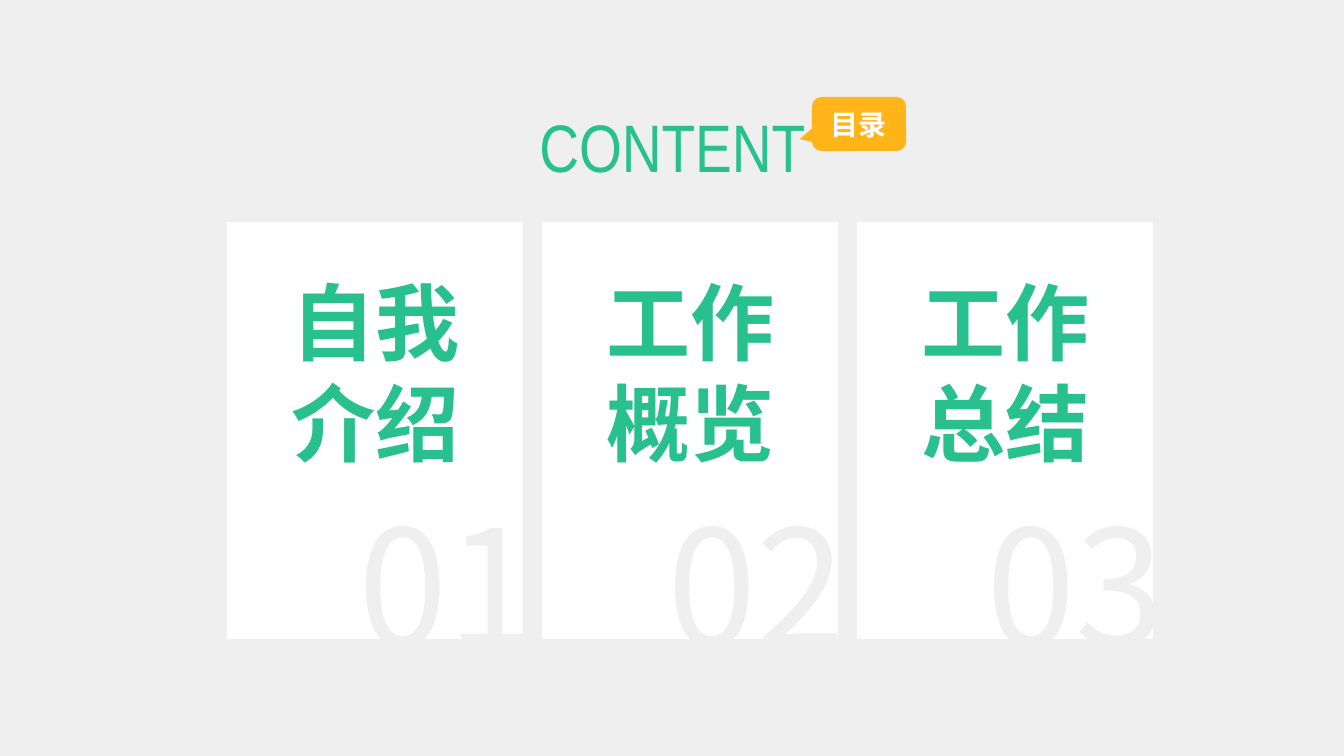
from dataclasses import dataclass
from lxml.etree import SubElement
from pptx import Presentation
from pptx.dml.color import RGBColor
from pptx.enum.shapes import MSO_SHAPE as Shape
from pptx.enum.text import MSO_ANCHOR as Anchor, PP_ALIGN as Align
from pptx.oxml.ns import qn
from pptx.util import Pt

TITLE = "CONTENT"
TAG = "目录"
# heading, number, left shift of the number box within its card
CARDS = [
    ("自我\n介绍", "01", 48),
    ("工作\n概览", "02", 42),
    ("工作\n总结", "03", 46),
]


@dataclass(frozen=True)
class Theme:
    back: str = "EFEFEF"
    card: str = "FFFFFF"
    green: str = "28C18D"
    amber: str = "FFB519"
    latin: str = "Arial Narrow"
    cjk: str = "Noto Sans CJK SC"
    title: int = 48
    tag: int = 20
    head: int = 60
    number: int = 115


THEME = Theme()
SCALE = 914400 / 100.8
WIDE, HIGH = 1344, 756
LEFT, TOP, STEP = 227, 222, 315
CARD_W, CARD_H = 296, 417


def px(*sizes):
    return [round(size * SCALE) for size in sizes]


def add_block(shapes, kind, box, fill):
    block = shapes.add_shape(kind, *px(*box))
    block.shadow.inherit = False
    block.fill.solid()
    block.fill.fore_color.rgb = RGBColor.from_string(fill)
    block.line.fill.background()
    return block


def add_label(shapes, box):
    label = shapes.add_textbox(*px(*box))
    label.text_frame.word_wrap = True
    return label


def write(shape, text, size, color, font, align=Align.CENTER, bold=False):
    frame = shape.text_frame
    frame.text = text
    for para in frame.paragraphs:
        para.alignment = align
        for run in para.runs:
            run.font.size = Pt(size)
            run.font.bold = bold
            run.font.name = font
            run.font.color.rgb = RGBColor.from_string(color)
            east = SubElement(run.font._element, qn("a:ea"))
            east.set("typeface", font)


def add_header(shapes):
    title = add_block(shapes, Shape.RECTANGLE, (500, 97, 345, 97), THEME.back)
    title.text_frame.vertical_anchor = Anchor.MIDDLE
    write(title, TITLE, THEME.title, THEME.green, THEME.latin)

    tag = add_block(shapes, Shape.ROUNDED_RECTANGULAR_CALLOUT,
                    (812, 97, 94, 54), THEME.amber)
    for i, value in enumerate((-0.63, 0.28, 0.17)):
        tag.adjustments[i] = value
    frame = tag.text_frame
    frame.vertical_anchor = Anchor.MIDDLE
    inset, = px(4)
    frame.margin_left = frame.margin_right = inset
    frame.margin_top = frame.margin_bottom = inset
    write(tag, TAG, THEME.tag, THEME.card, THEME.cjk, bold=True)


def add_card(shapes, x, head, number, shift):
    group = shapes.add_group_shape().shapes
    add_block(group, Shape.RECTANGLE, (x, TOP, CARD_W, CARD_H), THEME.card)
    label = add_label(group, (x + shift, 481, 272, 206))
    write(label, number, THEME.number, THEME.back, THEME.cjk, Align.RIGHT)
    label = add_label(group, (x, 266, CARD_W, 214))
    write(label, head, THEME.head, THEME.green, THEME.cjk, bold=True)


def main():
    deck = Presentation()
    deck.slide_width, deck.slide_height = px(WIDE, HIGH)
    slide = deck.slides.add_slide(deck.slide_layouts[6])
    slide.background.fill.solid()
    slide.background.fill.fore_color.rgb = RGBColor.from_string(THEME.back)
    add_header(slide.shapes)
    for i, card in enumerate(CARDS):
        add_card(slide.shapes, LEFT + i * STEP, *card)
    deck.save("out.pptx")


if __name__ == "__main__":
    main()
